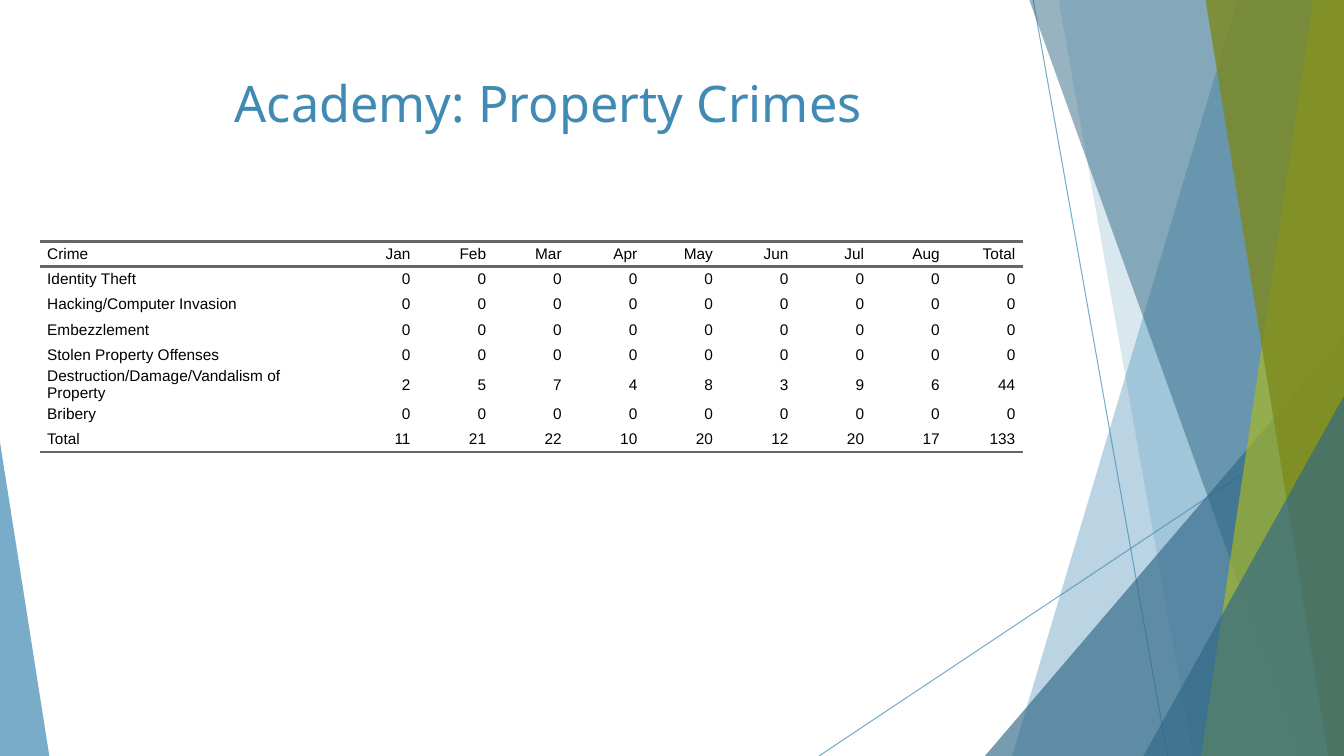
from lxml.etree import SubElement
from pptx import Presentation
from pptx.dml.color import RGBColor
from pptx.enum.shapes import MSO_CONNECTOR as Connector, MSO_SHAPE as Shape
from pptx.enum.text import MSO_ANCHOR as Anchor, PP_ALIGN as Align
from pptx.oxml import parse_xml
from pptx.oxml.ns import nsdecls, qn
from pptx.util import Pt

PX = 9525  # EMU per px, 96 px to the inch
WIDTH, HEIGHT = 1280, 720
COLORS = {"blue": "418AB3", "navy": "316886", "lime": "A6B727",
          "olive": "7D891D", "rule": "666666", "black": "000000"}
NO_GRID_STYLE = "{2D5ABB26-0587-4C30-8999-92F81FD0307C}"

MONTHS = ["Jan", "Feb", "Mar", "Apr", "May", "Jun", "Jul", "Aug"]
NO_CASES = [0] * 9
CRIMES = [
    ["Crime", *MONTHS, "Total"],
    ["Identity Theft", *NO_CASES],
    ["Hacking/Computer Invasion", *NO_CASES],
    ["Embezzlement", *NO_CASES],
    ["Stolen Property Offenses", *NO_CASES],
    ["Destruction/Damage/Vandalism of Property", 2, 5, 7, 4, 8, 3, 9, 6, 44],
    ["Bribery", *NO_CASES],
    ["Total", 11, 21, 22, 10, 20, 12, 20, 17, 133],
]


class SlideBuilder:
    def __init__(self, slide):
        self.slide = slide
        self.shapes = slide.shapes

    def set_color(self, fill, color, opacity):
        fill.solid()
        fill.fore_color.rgb = RGBColor.from_string(COLORS[color])
        for node in fill._xPr.iter(qn("a:srgbClr")):
            SubElement(node, qn("a:alpha"), val=str(opacity * 1000))

    def paint(self, shape, color, opacity):
        shape.shadow.inherit = False
        shape.line.fill.background()
        self.set_color(shape.fill, color, opacity)

    def line(self, x1, y1, x2, y2):
        connector = self.shapes.add_connector(
            Connector.STRAIGHT, x1 * PX, y1 * PX, x2 * PX, y2 * PX)
        connector.line.width = Pt(0.75)
        self.set_color(connector.line.fill, "blue", 70)
        SubElement(connector.element.spPr, qn("a:effectLst"))

    def band(self, top_x, bottom_x, color, opacity):
        """Full-height band from a slanted left edge to the slide's right edge."""
        builder = self.shapes.build_freeform(top_x, -1, scale=PX)
        builder.add_line_segments(
            [(WIDTH, -1), (WIDTH, HEIGHT), (bottom_x, HEIGHT)], close=True)
        self.paint(builder.convert_to_shape(), color, opacity)

    def triangle(self, x, width, height, apex, color, opacity):
        """Triangle standing on the slide's bottom edge."""
        shape = self.shapes.add_shape(
            Shape.ISOSCELES_TRIANGLE, x * PX, (HEIGHT - height) * PX, width * PX, height * PX)
        shape.adjustments[0] = apex
        self.paint(shape, color, opacity)

    def format_run(self, run, font_name, size, color):
        run.font.name = font_name
        run.font.size = Pt(size)
        run.font.color.rgb = RGBColor.from_string(COLORS[color])

    def title(self, text, x, y, width, height):
        box = self.shapes.add_textbox(x * PX, y * PX, width * PX, height * PX)
        box.text_frame.word_wrap = True
        box.text_frame.text = text
        paragraph = box.text_frame.paragraphs[0]
        paragraph.alignment = Align.CENTER
        self.format_run(paragraph.runs[0], "Noto Sans", 36, "blue")

    def border(self, cell, edges):
        properties = cell._tc.get_or_add_tcPr()
        for index, edge in enumerate(edges):
            properties.insert(index, parse_xml(
                f'<a:{edge} {nsdecls("a")} w="{Pt(2)}"><a:solidFill>'
                f'<a:srgbClr val="{COLORS["rule"]}"/></a:solidFill></a:{edge}>'))

    def cell(self, cell, value, alignment):
        cell.fill.background()
        cell.vertical_anchor = Anchor.MIDDLE
        cell.margin_left = cell.margin_right = cell.margin_top = cell.margin_bottom = 0
        cell.text_frame.text = str(value)
        paragraph = cell.text_frame.paragraphs[0]
        paragraph.alignment = alignment
        paragraph.space_before = paragraph.space_after = Pt(5)
        for side in ("marL", "marR"):
            paragraph._p.get_or_add_pPr().set(side, str(7 * PX))
        self.format_run(paragraph.runs[0], "Arial", 11, "black")

    def table(self, rows, x, y, column_widths, row_height):
        frame = self.shapes.add_table(
            len(rows), len(column_widths), x * PX, y * PX,
            sum(column_widths) * PX, len(rows) * row_height * PX)
        table = frame.table
        table.first_row = table.horz_banding = False
        for style in frame.element.iter(qn("a:tableStyleId")):
            style.text = NO_GRID_STYLE
        for column, width in zip(table.columns, column_widths):
            column.width = width * PX
        borders = {0: ["lnT", "lnB"], len(rows) - 1: ["lnB"]}
        for row_index, values in enumerate(rows):
            table.rows[row_index].height = row_height * PX
            for column_index, value in enumerate(values):
                cell = table.cell(row_index, column_index)
                self.cell(cell, value, Align.RIGHT if column_index else Align.LEFT)
                self.border(cell, borders.get(row_index, []))


def main():
    presentation = Presentation()
    presentation.slide_width = WIDTH * PX
    presentation.slide_height = HEIGHT * PX
    builder = SlideBuilder(presentation.slides.add_slide(presentation.slide_layouts[6]))

    # Background facets, back to front
    builder.line(984, 0, 1112, HEIGHT)
    builder.line(WIDTH, 387, 780, HEIGHT)
    builder.band(1179, 964, "blue", 36)
    builder.band(1008, 1136, "blue", 20)
    builder.triangle(938, 342, 400, 1, "navy", 66)
    builder.band(980, 1239, "navy", 50)
    builder.band(1251, 1144, "lime", 70)
    builder.band(1148, 1265, "olive", 80)
    builder.triangle(1089, 191, 343, 1, "navy", 66)
    builder.triangle(0, 47, 299, 0, "blue", 70)

    # Crime counts by month
    builder.table(CRIMES, 38, 230, [288] + [72] * 9, 24)

    # Title
    builder.title("Academy: Property Crimes", 71, 64, 902, 138)

    presentation.save("out.pptx")


if __name__ == "__main__":
    main()
